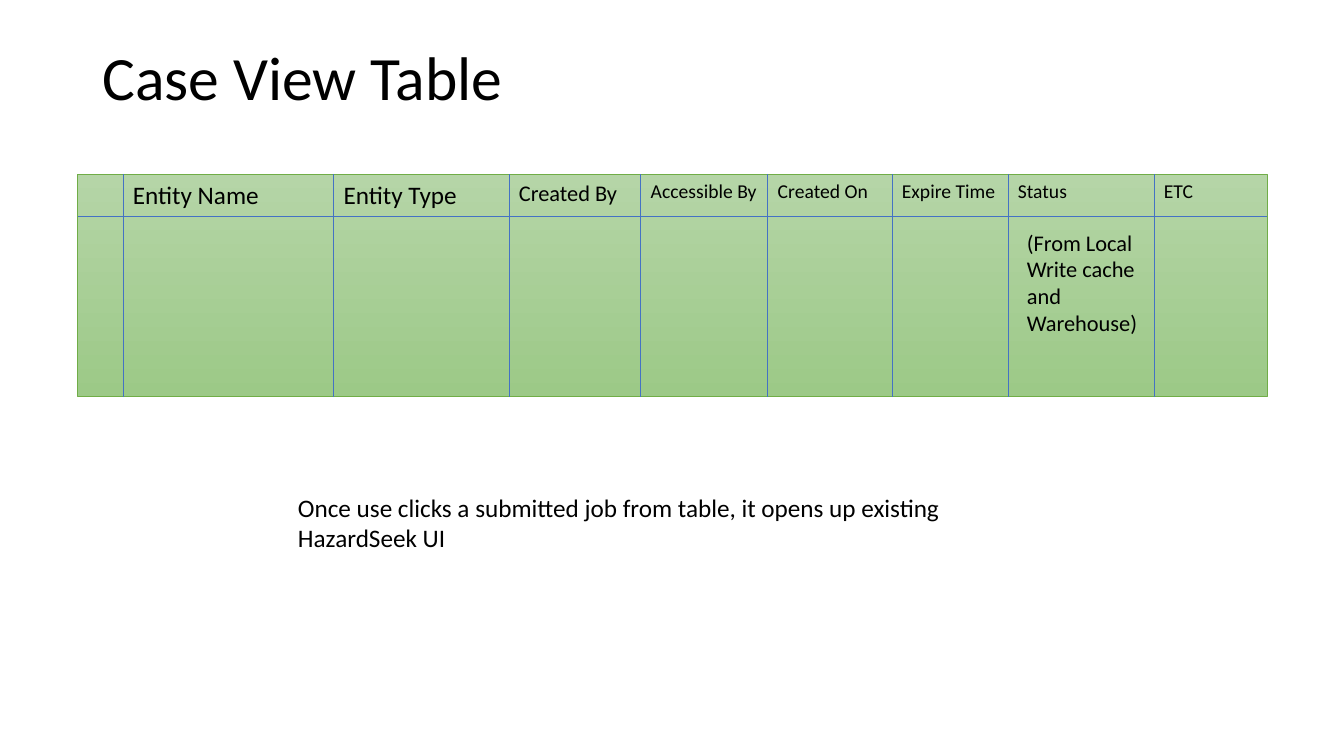
from pptx import Presentation
from pptx.dml.color import RGBColor
from pptx.enum.shapes import MSO_CONNECTOR, MSO_SHAPE
from pptx.enum.text import MSO_ANCHOR
from pptx.oxml.ns import qn
from pptx.util import Cm, Pt
from lxml.etree import SubElement

BLACK = RGBColor(0x00, 0x00, 0x00)
BLUE = RGBColor(0x44, 0x72, 0xC4)
GREEN = RGBColor(0x70, 0xAD, 0x47)
LIGHT_GREEN = RGBColor(0xB5, 0xD5, 0xA7)
MID_GREEN = RGBColor(0x9C, 0xC9, 0x87)

LEFT, TOP, RIGHT, BOTTOM = 1.96, 4.39, 31.93, 10.0
HEADER_BOTTOM = 5.44
# Left edge, heading and text size of each column
COLUMNS = [
    (3.1, "Entity Name", 18),
    (8.41, "Entity Type", 18),
    (12.83, "Created By", 16),
    (16.15, "Accessible By", 14),
    (19.35, "Created On", 14),
    (22.48, "Expire Time", 14),
    (25.4, "Status", 14),
    (29.08, "ETC", 14),
]


def add_text(x, y, w, h, text, size):
    """Add a wrapping text box and return its text frame."""
    tf = s.shapes.add_textbox(Cm(x), Cm(y), Cm(w), Cm(h)).text_frame
    tf.word_wrap = True
    p = tf.paragraphs[0]
    p.text = text
    p.font.name = "Calibri"
    p.font.size = Pt(size)
    p.font.color.rgb = BLACK
    return tf


def add_rule(x1, y1, x2, y2):
    """Add a thin blue table rule without a shadow."""
    line = s.shapes.add_connector(MSO_CONNECTOR.STRAIGHT, Cm(x1), Cm(y1), Cm(x2), Cm(y2))
    line.line.color.rgb = BLUE
    line.line.width = Pt(0.5)
    SubElement(line._element.spPr, qn("a:effectLst"))


prs = Presentation()
prs.slide_width, prs.slide_height = Cm(33.87), Cm(19.05)
s = prs.slides.add_slide(prs.slide_layouts[6])

tf = add_text(2.33, 1.02, 29.21, 2.03, "Case View Table", 44)
tf.vertical_anchor = MSO_ANCHOR.MIDDLE
tf.paragraphs[0].line_spacing = 0.9

# Table background
sp = s.shapes.add_shape(MSO_SHAPE.RECTANGLE, Cm(LEFT), Cm(TOP), Cm(RIGHT - LEFT), Cm(BOTTOM - TOP))
sp.shadow.inherit = False
sp.fill.gradient()
sp.fill.gradient_angle = 270
for stop, color in zip(sp.fill.gradient_stops, (LIGHT_GREEN, MID_GREEN)):
    stop.color.rgb = color
sp.line.color.rgb = GREEN
sp.line.width = Pt(0.5)

# Rules and column headings
add_rule(LEFT, HEADER_BOTTOM, RIGHT, HEADER_BOTTOM)
right_edges = [x for x, _, _ in COLUMNS[1:]] + [RIGHT]
for (x, heading, size), right in zip(COLUMNS, right_edges):
    add_rule(x, TOP, x, BOTTOM)
    tf = add_text(x, TOP, right - x, HEADER_BOTTOM - TOP, heading, size)
    tf.margin_right = 0

add_text(25.63, 5.64, 3.35, 3.68, "(From Local Write cache and Warehouse)", 16)
add_text(7.26, 12.27, 17.27, 1.8,
         "Once use clicks a submitted job from table, it opens up existing HazardSeek UI", 18)

prs.save("out.pptx")
